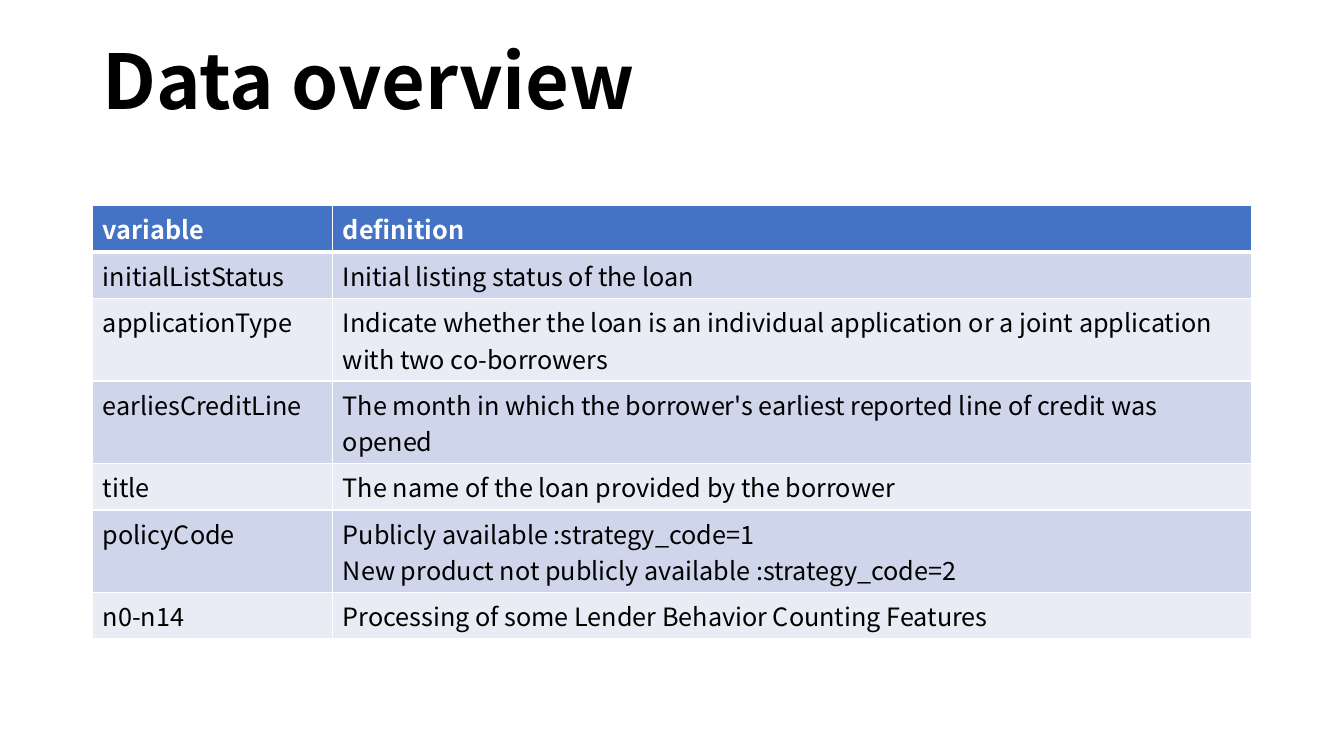
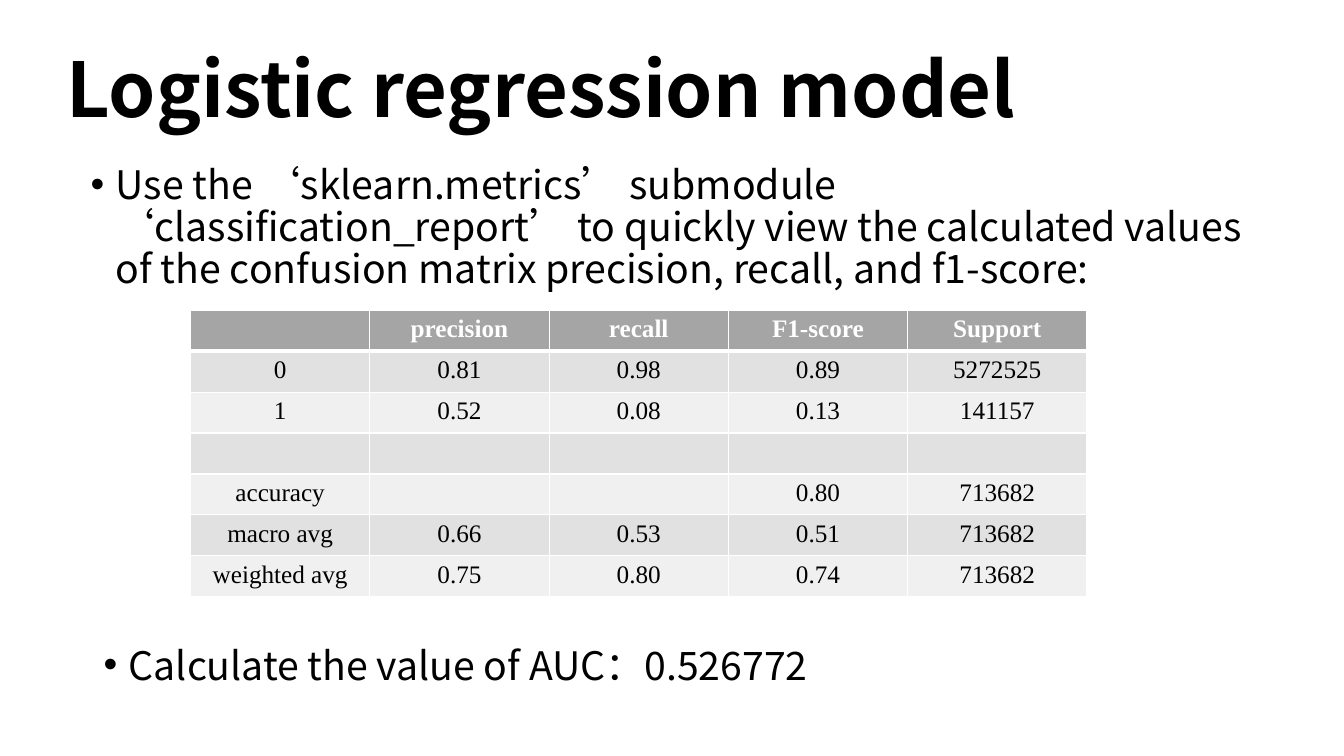
from dataclasses import dataclass

from lxml import etree
from pptx import Presentation
from pptx.dml.color import RGBColor
from pptx.enum import text
from pptx.oxml import ns
from pptx.util import Inches, Pt


@dataclass(frozen=True)
class TableStyle:
    font: str
    header: str
    bands: tuple
    align: text.PP_ALIGN


@dataclass(frozen=True)
class Theme:
    font: str = "Noto Sans CJK SC"
    ink: str = "000000"
    paper: str = "FFFFFF"
    title_size: int = 54
    body_size: int = 28
    table_size: int = 18
    border: int = 1
    header_border: int = 3
    one_line_row: float = 0.46
    two_line_row: float = 0.82
    blue_table: TableStyle = TableStyle(
        "Noto Sans CJK SC", "4472C4", ("CFD5EA", "E9EBF5"), text.PP_ALIGN.LEFT)
    gray_table: TableStyle = TableStyle(
        "Times New Roman", "A5A5A5", ("E1E1E1", "F0F0F0"), text.PP_ALIGN.CENTER)


THEME = Theme()

VARIABLES = [
    ("variable", "definition"),
    ("initialListStatus", "Initial listing status of the loan"),
    ("applicationType", "Indicate whether the loan is an individual application "
                        "or a joint application with two co-borrowers"),
    ("earliesCreditLine", "The month in which the borrower's earliest reported "
                          "line of credit was opened"),
    ("title", "The name of the loan provided by the borrower"),
    ("policyCode", "Publicly available :strategy_code=1\n"
                   "New product not publicly available :strategy_code=2"),
    ("n0-n14", "Processing of some Lender Behavior Counting Features"),
]
TWO_LINE_VARIABLES = ("applicationType", "earliesCreditLine", "policyCode")

REPORT = [
    ("", "precision", "recall", "F1-score", "Support"),
    ("0", "0.81", "0.98", "0.89", "5272525"),
    ("1", "0.52", "0.08", "0.13", "141157"),
    ("", "", "", "", ""),
    ("accuracy", "", "", "0.80", "713682"),
    ("macro avg", "0.66", "0.53", "0.51", "713682"),
    ("weighted avg", "0.75", "0.80", "0.74", "713682"),
]


def add_run(paragraph, words, size, font=THEME.font, color=THEME.ink, bold=False):
    run = paragraph.add_run()
    run.text = words
    run.font.size = Pt(size)
    run.font.name = font
    run.font.bold = bold
    run.font.color.rgb = RGBColor.from_string(color)
    etree.SubElement(run.font._element, ns.qn("a:ea"), typeface=font)


def add_text_box(slide, left, top, width, height, anchor):
    shape = slide.shapes.add_textbox(
        Inches(left), Inches(top), Inches(width), Inches(height))
    shape.text_frame.word_wrap = True
    shape.text_frame.vertical_anchor = anchor
    return shape.text_frame.paragraphs[0]


def add_title(slide, words, left, top, line_spacing):
    paragraph = add_text_box(slide, left, top, 11.5, 1.45, text.MSO_ANCHOR.MIDDLE)
    paragraph.line_spacing = line_spacing
    add_run(paragraph, words, THEME.title_size, bold=True)


def add_bullet(slide, words, left, top, width, height, line_spacing):
    paragraph = add_text_box(slide, left, top, width, height, text.MSO_ANCHOR.TOP)
    paragraph.line_spacing = line_spacing
    paragraph.space_before = Pt(10)
    properties = paragraph._p.get_or_add_pPr()
    properties.set("marL", str(Inches(0.25)))
    properties.set("indent", str(-Inches(0.25)))
    etree.SubElement(properties, ns.qn("a:buFont"), typeface="Arial")
    etree.SubElement(properties, ns.qn("a:buChar"), char="•")
    add_run(paragraph, words, THEME.body_size)


def set_borders(cell, top, bottom):
    widths = {"L": THEME.border, "R": THEME.border, "T": top, "B": bottom}
    properties = cell._tc.get_or_add_tcPr()
    for side, width in widths.items():
        line = etree.SubElement(properties, ns.qn(f"a:ln{side}"), w=str(Pt(width)))
        fill = etree.SubElement(line, ns.qn("a:solidFill"))
        etree.SubElement(fill, ns.qn("a:srgbClr"), val=THEME.paper)


def fill_cell(cell, words, row, style):
    header = row == 0
    set_borders(cell,
                THEME.header_border if row == 1 else THEME.border,
                THEME.header_border if header else THEME.border)
    color = style.header if header else style.bands[(row - 1) % len(style.bands)]
    cell.fill.solid()
    cell.fill.fore_color.rgb = RGBColor.from_string(color)
    for index, line in enumerate(words.split("\n")):
        frame = cell.text_frame
        paragraph = frame.add_paragraph() if index else frame.paragraphs[0]
        paragraph.alignment = style.align
        if line:
            add_run(paragraph, line, THEME.table_size, style.font,
                    THEME.paper if header else THEME.ink, header)


def add_table(slide, rows, left, top, widths, heights, style):
    frame = slide.shapes.add_table(
        len(rows), len(widths), Inches(left), Inches(top),
        Inches(sum(widths)), Inches(sum(heights)))
    table = frame.table
    table.horz_banding = False
    for column, width in zip(table.columns, widths):
        column.width = Inches(width)
    for row, values in enumerate(rows):
        table.rows[row].height = Inches(heights[row])
        for column, words in enumerate(values):
            fill_cell(table.cell(row, column), words, row, style)


def add_blank_slide(presentation):
    slide = presentation.slides.add_slide(presentation.slide_layouts[6])
    slide.background.fill.solid()
    slide.background.fill.fore_color.rgb = RGBColor.from_string(THEME.paper)
    return slide


def build_data_overview(presentation):
    slide = add_blank_slide(presentation)
    add_title(slide, "Data overview", 0.92, 0.12, 0.9)
    heights = [THEME.two_line_row if name in TWO_LINE_VARIABLES
               else THEME.one_line_row for name, _ in VARIABLES]
    add_table(slide, VARIABLES, 0.92, 2.04, (2.38, 9.11), heights,
              THEME.blue_table)


def build_logistic_regression(presentation):
    slide = add_blank_slide(presentation)
    add_title(slide, "Logistic regression model", 0.56, 0.14, 1.0)
    add_bullet(slide, "Use the ‘sklearn.metrics’ submodule ‘classification_report’ "
                      "to quickly view the calculated values of the confusion "
                      "matrix precision, recall, and f1-score:",
               0.8, 1.59, 11.7, 1.77, 0.9)
    columns, rows = len(REPORT[0]), len(REPORT)
    add_table(slide, REPORT, 1.89, 3.08, [8.89 / columns] * columns,
              [2.84 / rows] * rows, THEME.gray_table)
    add_bullet(slide, "Calculate the value of AUC：0.526772",
               0.93, 6.4, 11.45, 0.47, 0.8)


def main():
    presentation = Presentation()
    presentation.slide_width = Inches(13.33)
    presentation.slide_height = Inches(7.5)
    build_data_overview(presentation)
    build_logistic_regression(presentation)
    presentation.save("out.pptx")


if __name__ == "__main__":
    main()
